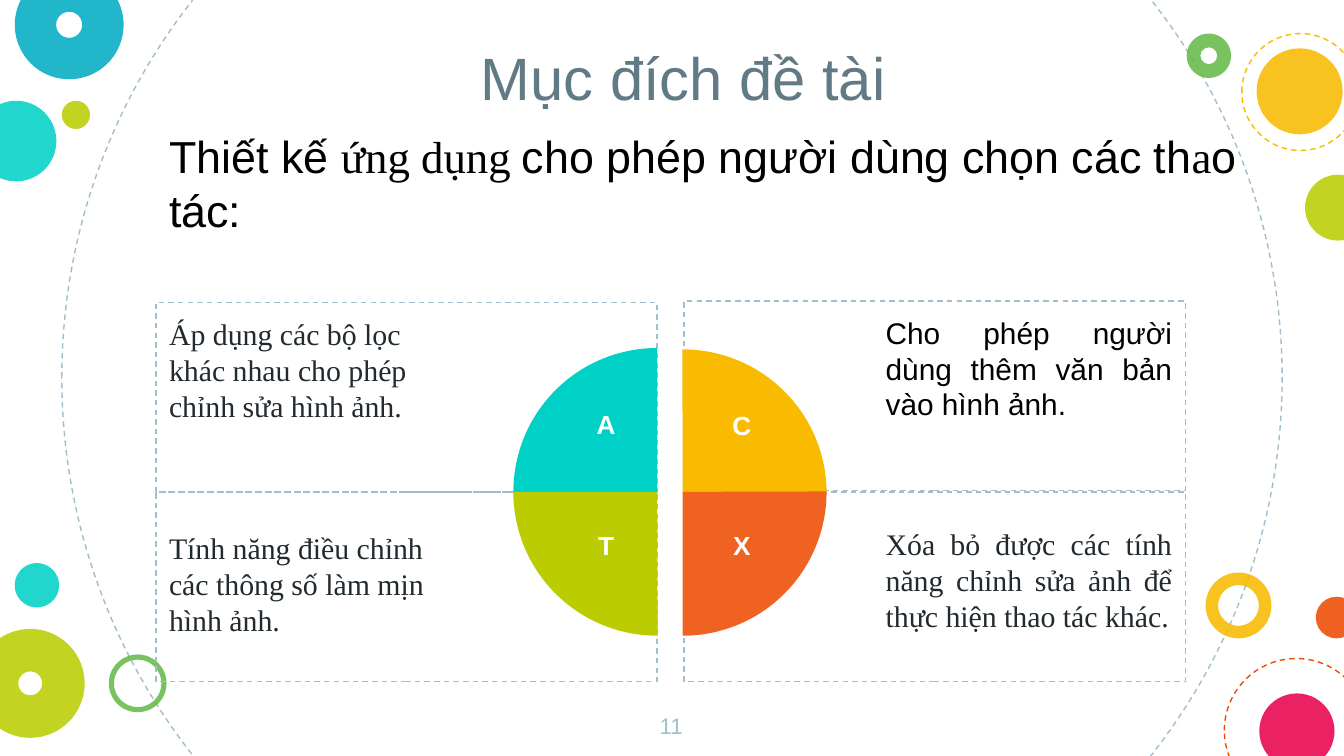
from lxml import etree
from pptx import Presentation
from pptx.dml.color import RGBColor
from pptx.enum.dml import MSO_LINE
from pptx.enum.shapes import MSO_SHAPE
from pptx.enum.text import MSO_ANCHOR, MSO_AUTO_SIZE, PP_ALIGN
from pptx.oxml.ns import qn
from pptx.util import Inches, Pt

OVAL, DONUT, PIE, RECT = MSO_SHAPE.OVAL, MSO_SHAPE.DONUT, MSO_SHAPE.PIE, MSO_SHAPE.RECTANGLE
LEFT, CENTER, JUSTIFY = PP_ALIGN.LEFT, PP_ALIGN.CENTER, PP_ALIGN.JUSTIFY
TOP, BOTTOM = MSO_ANCHOR.TOP, MSO_ANCHOR.BOTTOM
SANS, SERIF = "Arial", "Times New Roman"
TEAL, YELLOW, LIME, ORANGE, GREEN = "00D1C6", "F8BB00", "BBCD00", "ED4A00", "65BB48"
MIST, INK, BLACK, WHITE = "A1BECC", "212A2E", "000000", "FFFFFF"
INSETS = (0.1, 0.1, 0.1, 0.1)

# Dashed rings: left, top, diameter, colour
RINGS = [(0.46, -1.73, 9.08, MIST), (9.11, 4.9, 1.07, ORANGE), (9.24, 0.25, 0.87, YELLOW)]

# Filled dots: left, top, diameter, colour, donut thickness (None for a full disc)
DOTS = [
    (-0.18, 0.75, 0.6, TEAL, None),
    (8.97, 4.26, 0.49, YELLOW, 0.19),
    (0.11, -0.22, 0.81, "00ACC3", 0.38),
    (0.46, 0.75, 0.21, LIME, None),
    (0.81, 4.87, 0.43, GREEN, 0.09),
    (9.79, 4.44, 0.31, ORANGE, None),
    (-0.18, 4.68, 0.81, LIME, 0.39),
    (9.37, 5.16, 0.56, "E8004C", None),
    (8.83, 0.25, 0.33, GREEN, 0.31),
    (9.35, 0.36, 0.64, YELLOW, None),
    (9.71, 1.3, 0.49, LIME, None),
    (0.11, 4.19, 0.33, TEAL, None),
]

# Panels: left, top, text, font, colour, alignment, anchor, insets
PANELS = [
    (1.16, 2.25, "Áp dụng các bộ lọc khác nhau cho phép chỉnh sửa hình ảnh.",
     SERIF, INK, LEFT, TOP, (0.1, 0.1, 1.5, 0.1)),
    (5.09, 2.24, "Cho phép người dùng thêm văn bản vào hình ảnh.",
     SANS, BLACK, JUSTIFY, TOP, (1.5, 0.1, 0.1, 0.1)),
    (1.16, 3.66, "Tính năng điều chỉnh các thông số làm mịn hình ảnh.",
     SERIF, INK, LEFT, BOTTOM, (0.1, 0.1, 1.5, 0.33)),
    (5.09, 3.66, "Xóa bỏ được các tính năng chỉnh sửa ảnh để thực hiện thao tác khác.",
     SERIF, INK, JUSTIFY, BOTTOM, (1.5, 0.1, 0.1, 0.36)),
]

# Quarters, clockwise from top left: pie left, pie top, colour, letter, letter left, letter top
QUARTERS = [
    (3.82, 2.59, TEAL, "A", 4.32, 2.99),
    (4.01, 2.6, YELLOW, "C", 5.33, 3.0),
    (4.01, 2.59, "EF6222", "X", 5.33, 3.89),
    (3.82, 2.59, LIME, "T", 4.32, 3.89),
]


def rgb(value):
    return RGBColor.from_string(value)


def write(s, runs, size, color, align=LEFT, anchor=TOP, insets=INSETS, bold=False):
    """Fill a shape with one paragraph made of (text, font name) runs."""
    tf = s.text_frame
    tf.word_wrap = True
    tf.auto_size = MSO_AUTO_SIZE.NONE
    tf.vertical_anchor = anchor
    for side, inset in zip(("left", "top", "right", "bottom"), insets):
        setattr(tf, f"margin_{side}", Inches(inset))
    p = tf.paragraphs[0]
    p.alignment = align
    for text, font in runs:
        r = p.add_run()
        r.text = text
        for name, value in {"name": font, "size": Pt(size), "bold": bold}.items():
            setattr(r.font, name, value)
        r.font.color.rgb = rgb(color)


def add_shape(slide, kind, x, y, w, h, fill=None, line=None, alpha=None):
    s = slide.shapes.add_shape(kind, Inches(x), Inches(y), Inches(w), Inches(h))
    s.shadow.inherit = False
    if fill:
        s.fill.solid()
        s.fill.fore_color.rgb = rgb(fill)
        if alpha:
            clr = s.fill._xPr.find(qn("a:solidFill"))[0]
            etree.SubElement(clr, qn("a:alpha"), val=str(alpha * 1000))
    else:
        s.fill.background()
    if line:
        s.line.color.rgb = rgb(line)
        s.line.width = Pt(0.75)
        s.line.dash_style = MSO_LINE.DASH
    else:
        s.line.fill.background()
    return s


def add_text(slide, x, y, w, h, runs, size, color, **style):
    s = slide.shapes.add_textbox(Inches(x), Inches(y), Inches(w), Inches(h))
    write(s, runs, size, color, **style)


def add_title(slide, text):
    s = slide.shapes.title
    for name, value in {"left": 2.2, "top": 0.38, "width": 5.77, "height": 0.56}.items():
        setattr(s, name, Inches(value))
    write(s, [(text, SANS)], 32, "617A86", align=CENTER, anchor=BOTTOM)


def add_decoration(slide):
    for x, y, d, color in RINGS:
        add_shape(slide, OVAL, x, y, d, d, line=color)
    for x, y, d, color, thickness in DOTS:
        s = add_shape(slide, DONUT if thickness else OVAL, x, y, d, d, fill=color, alpha=87)
        if thickness:
            s.adjustments[0] = thickness


def add_panels(slide):
    for x, y, text, font, color, align, anchor, insets in PANELS:
        s = add_shape(slide, RECT, x, y, 3.73, 1.41, line=MIST)
        write(s, [(text, font)], 16, color, align=align, anchor=anchor, insets=insets)


def add_wheel(slide):
    for i, (x, y, color, _, _, _) in enumerate(QUARTERS):
        s = add_shape(slide, PIE, x, y, 2.14, 2.14, fill=color)
        # Pie angles from 180 to 270 degrees
        s.adjustments[0] = 107.89
        s.adjustments[1] = 162
        s.rotation = 90 * i
    for _, _, _, letter, x, y in QUARTERS:
        add_text(slide, x, y, 0.38, 0.41, [(letter, SANS)], 14, WHITE,
                 align=CENTER, bold=True, insets=(0.1, 0.05, 0.1, 0.05))


def main():
    prs = Presentation()
    # Widescreen, 16:9
    prs.slide_width = Inches(10)
    prs.slide_height = Inches(10) * 9 // 16
    slide = prs.slides.add_slide(prs.slide_layouts[5])

    # Background circles
    add_decoration(slide)

    # Heading and introduction
    add_title(slide, "Mục đích đề tài")
    intro = [("Thiết kế ", SANS), ("ứng dụng ", SERIF),
             ("cho phép người dùng chọn các th", SANS), ("a", SERIF), ("o tác:", SANS)]
    add_text(slide, 1.16, 1.16, 8.24, 0.7, intro, 24, BLACK, anchor=BOTTOM)

    # Four panels around the wheel
    add_panels(slide)
    add_wheel(slide)

    # Slide number
    add_text(slide, 4.74, 5.2, 0.51, 0.43, [("11", SANS)], 12, MIST, align=CENTER)

    prs.save("out.pptx")


if __name__ == "__main__":
    main()
